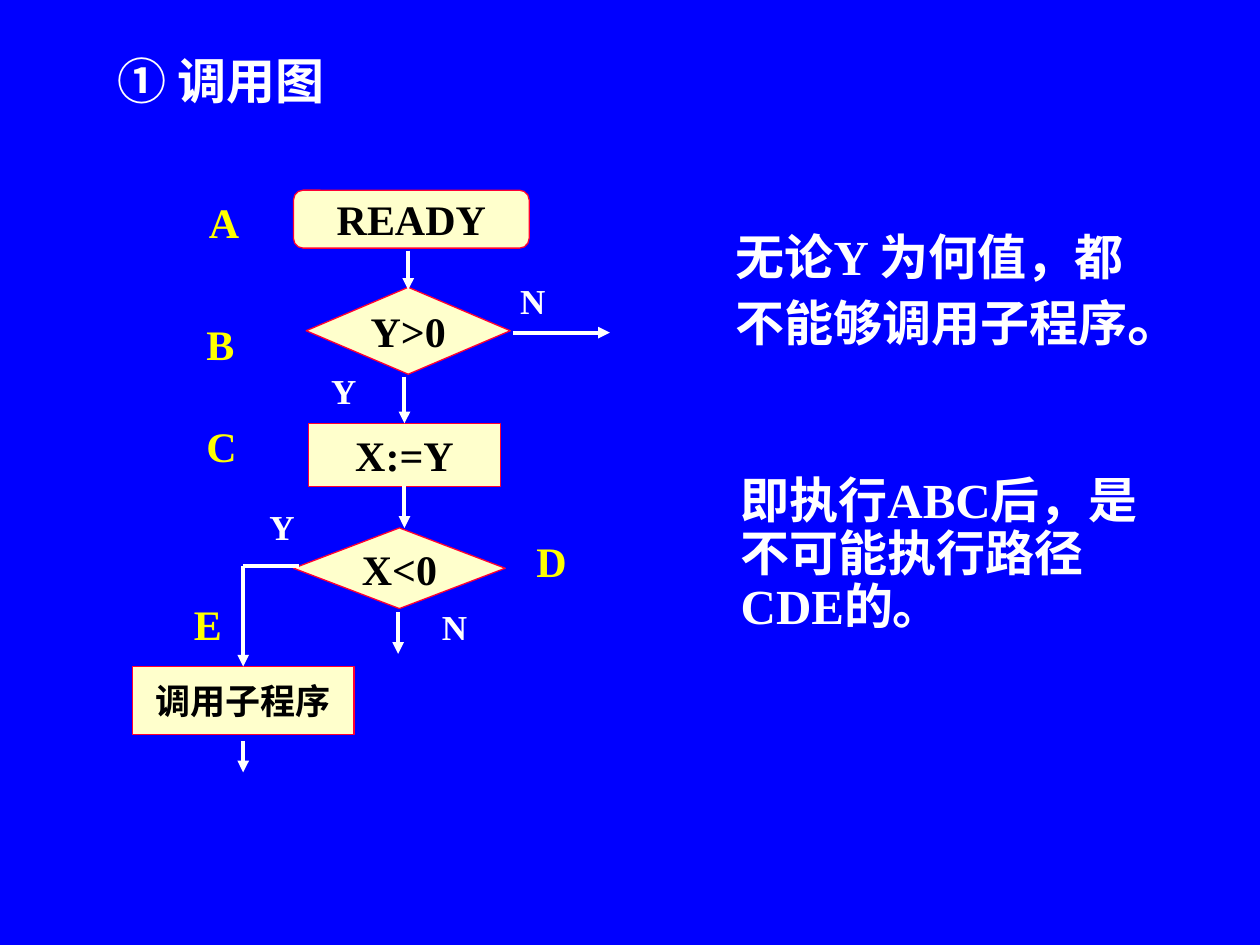
"""Build a slide with a call-graph flowchart and its explanation."""
from lxml import etree
from pptx import Presentation
from pptx.dml.color import RGBColor
from pptx.enum.shapes import MSO_CONNECTOR, MSO_SHAPE
from pptx.enum.text import MSO_ANCHOR, PP_ALIGN
from pptx.oxml.ns import qn
from pptx.util import Inches, Pt

LINE = MSO_CONNECTOR.STRAIGHT
RECT, ROUND, DIAMOND = MSO_SHAPE.RECTANGLE, MSO_SHAPE.ROUNDED_RECTANGLE, MSO_SHAPE.DIAMOND
MIDDLE = MSO_ANCHOR.MIDDLE
LEFT, CENTER = PP_ALIGN.LEFT, PP_ALIGN.CENTER
SERIF = "Times New Roman"
WHITE, BLACK, YELLOW = "FFFFFF", "000000", "FFFF00"


def color(code):
    return RGBColor.from_string(code)


def write(para, text, size, tint, font=SERIF):
    run = para.add_run()
    run.text = text
    run.font.name = font
    run.font.size = Pt(size)
    run.font.bold = True
    run.font.color.rgb = color(tint)


deck = Presentation()
deck.slide_width, deck.slide_height = Inches(10), Inches(7.5)
slide = deck.slides.add_slide(deck.slide_layouts[5])
slide.background.fill.solid()
slide.background.fill.fore_color.rgb = color("0000FF")
shapes = slide.shapes

title = shapes.title
title.left, title.top = Inches(0.83), Inches(0.25)
title.width, title.height = Inches(8.5), Inches(0.77)
title.text_frame.vertical_anchor = MIDDLE
para = title.text_frame.paragraphs[0]
para.alignment = LEFT
write(para, "① 调用图", 28, WHITE, "Noto Sans CJK SC")

nodes = {}
for text, kind, x, y, w, h, size in [
    ("READY", ROUND, 2.33, 1.51, 1.87, 0.46, 24),
    ("Y>0", DIAMOND, 2.43, 2.28, 1.62, 0.69, 24),
    ("X:=Y", RECT, 2.45, 3.36, 1.52, 0.5, 24),
    ("X<0", DIAMOND, 2.33, 4.19, 1.68, 0.64, 24),
    ("调用子程序", RECT, 1.05, 5.29, 1.76, 0.54, 20),
]:
    node = shapes.add_shape(kind, Inches(x), Inches(y), Inches(w), Inches(h))
    node.shadow.inherit = False
    node.fill.solid()
    node.fill.fore_color.rgb = color("FFFFCC")
    node.line.color.rgb = color("FF0033")
    node.line.width = Pt(0.75)
    frame = node.text_frame
    frame.word_wrap = False
    frame.vertical_anchor = MIDDLE
    frame.paragraphs[0].alignment = CENTER
    write(frame.paragraphs[0], text, size, BLACK)
    nodes[text] = node

step, call = nodes["X:=Y"], nodes["调用子程序"]
for x1, y1, x2, y2, head, start, end in [
    (3.24, 1.99, 3.24, 2.3, True, None, None),
    (4.07, 2.64, 4.84, 2.64, True, None, None),
    (3.21, 2.99, 3.21, 3.36, True, None, step),
    (3.21, 3.86, 3.21, 4.19, True, step, None),
    (3.16, 4.86, 3.16, 5.19, True, None, None),
    (2.37, 4.49, 1.93, 4.49, False, None, None),
    (1.93, 4.49, 1.93, 5.29, True, None, call),
    (1.93, 5.88, 1.93, 6.13, True, None, None),
]:
    link = shapes.add_connector(LINE, Inches(x1), Inches(y1), Inches(x2), Inches(y2))
    link.line.color.rgb = color(WHITE)
    link.line.width = Pt(2.25)
    if start:
        link.begin_connect(start, 2)
    if end:
        link.end_connect(end, 0)
    props = link._element.spPr
    if head:
        etree.SubElement(props.find(qn("a:ln")), qn("a:tailEnd"), type="triangle")
    etree.SubElement(props, qn("a:effectLst"))

for text, x, y, size, tint in [
    ("N", 4.03, 2.17, 20, WHITE),
    ("Y", 2.53, 2.88, 20, WHITE),
    ("N", 3.41, 4.76, 20, WHITE),
    ("Y", 2.04, 3.96, 20, WHITE),
    ("A", 1.56, 1.51, 24, YELLOW),
    ("B", 1.54, 2.48, 24, YELLOW),
    ("C", 1.54, 3.29, 24, YELLOW),
    ("D", 4.16, 4.2, 24, YELLOW),
    ("E", 1.44, 4.7, 24, YELLOW),
]:
    label = shapes.add_textbox(Inches(x), Inches(y), Inches(0.44), Inches(size / 48))
    label.text_frame.word_wrap = False
    write(label.text_frame.paragraphs[0], text, size, tint)

for x, y, w, h, space, parts in [
    (5.74, 1.75, 3.42, 1.73, 1, [("无论Y 为何值，都不能够调用子程序", 28), ("。", 32)]),
    (5.78, 3.73, 3.42, 1.76, 0.9, [("即执行ABC后，是不可能执行路径CDE的。", 28)]),
]:
    note = shapes.add_textbox(Inches(x), Inches(y), Inches(w), Inches(h))
    note.text_frame.word_wrap = True
    para = note.text_frame.paragraphs[0]
    para.line_spacing = float(space)
    for text, size in parts:
        write(para, text, size, WHITE)

deck.save("out.pptx")
